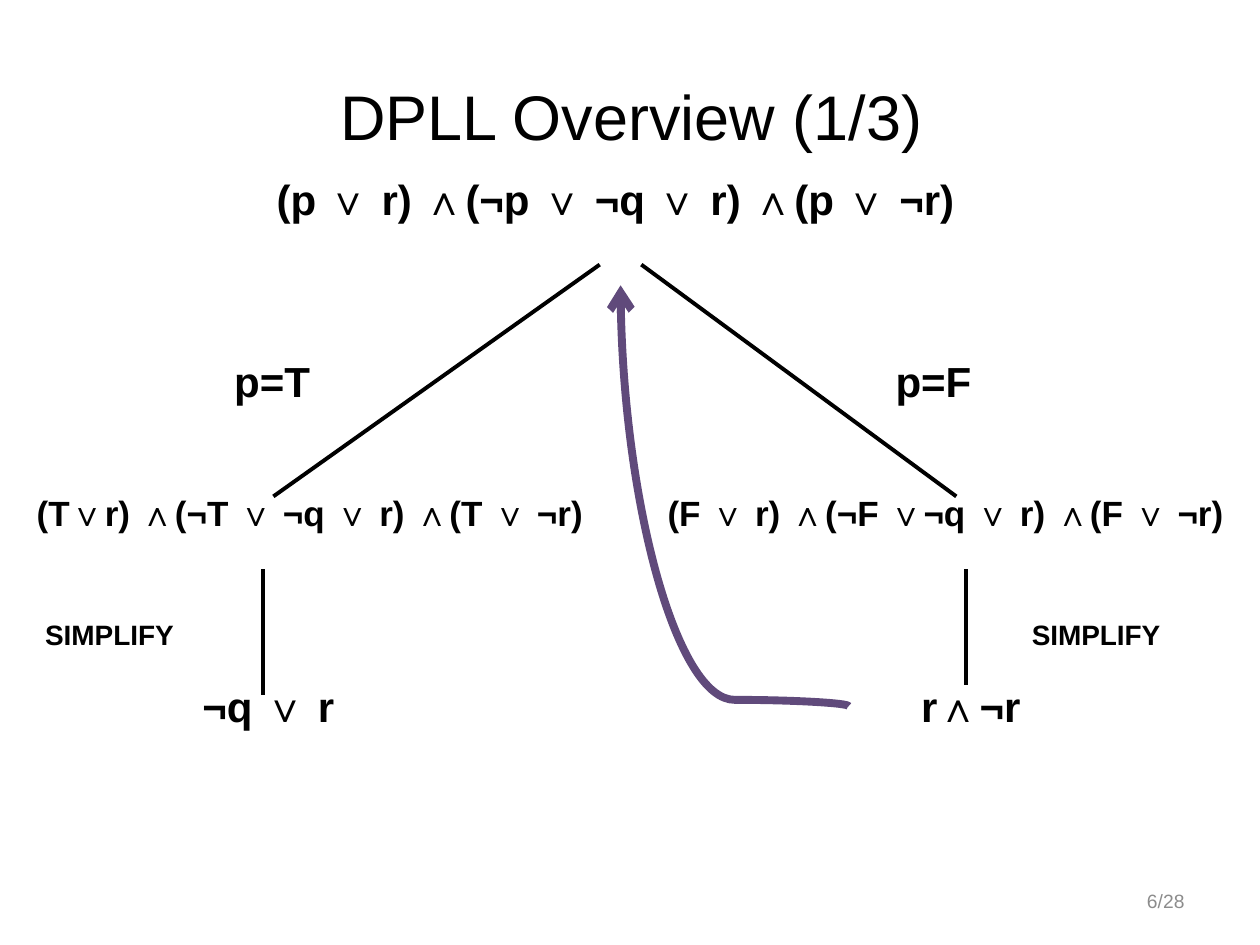
from dataclasses import dataclass

import lxml.etree
import pptx
import pptx.dml.color
import pptx.enum.shapes
import pptx.enum.text
import pptx.oxml.ns
import pptx.util

Inches = pptx.util.Inches
Align = pptx.enum.text.PP_ALIGN
Anchor = pptx.enum.text.MSO_ANCHOR
Connector = pptx.enum.shapes.MSO_CONNECTOR
qn = pptx.oxml.ns.qn

COLORS = {"ink": "000000", "muted": "8C8C8C", "backtrack": "604A7B", "paper": "FFFFFF"}


@dataclass
class Label:
    text: str
    left: float
    top: float
    width: float
    height: float
    size: float
    align: Align = Align.CENTER
    bold: bool = True
    color: str = "ink"
    anchor: Anchor = Anchor.TOP


@dataclass
class Edge:
    start: tuple[float, float]
    end: tuple[float, float]
    kind: Connector = Connector.STRAIGHT
    width: float = 2.25
    color: str = "ink"


def rgb(name: str) -> pptx.dml.color.RGBColor:
    return pptx.dml.color.RGBColor.from_string(COLORS[name])


def draw_label(page, label: Label) -> None:
    box = page.shapes.add_textbox(
        *map(Inches, (label.left, label.top, label.width, label.height)))
    frame = box.text_frame
    frame.word_wrap = True
    frame.vertical_anchor = label.anchor
    para = frame.paragraphs[0]
    para.alignment = label.align
    span = para.add_run()
    span.text = label.text
    style = {"name": "Arial", "size": pptx.util.Pt(label.size), "bold": label.bold}
    for attribute, value in style.items():
        setattr(span.font, attribute, value)
    span.font.color.rgb = rgb(label.color)


def draw_edge(page, edge: Edge):
    line = page.shapes.add_connector(edge.kind, *map(Inches, edge.start + edge.end))
    line.line.color.rgb = rgb(edge.color)
    line.line.width = pptx.util.Pt(edge.width)
    lxml.etree.SubElement(line._element.spPr, qn("a:effectLst"))
    return line


def draw_backtrack(page, edge: Edge, bend: int) -> None:
    """Draw a curve turned a quarter left, with an arrowhead at its end."""
    curve = draw_edge(page, edge)
    properties = curve._element.spPr
    properties.find(qn("a:xfrm")).set("rot", str(270 * 60000))
    geometry = properties.find(qn("a:prstGeom"))
    guides = geometry.find(qn("a:avLst"))
    if guides is None:
        guides = lxml.etree.SubElement(geometry, qn("a:avLst"))
    lxml.etree.SubElement(guides, qn("a:gd"), name="adj1", fmla=f"val {bend}")
    lxml.etree.SubElement(properties.find(qn("a:ln")), qn("a:tailEnd"), type="arrow")


LABELS = [
    # Title and page number
    Label("DPLL Overview (1/3)", 0.51, 0.29, 9, 1.25, 36, bold=False, anchor=Anchor.MIDDLE),
    Label("6/28", 7.17, 6.95, 2.33, 0.4, 11, Align.RIGHT, False, "muted", Anchor.MIDDLE),
    # Formulas of the search tree
    Label("(p ∨ r) ∧(¬p ∨ ¬q ∨ r) ∧(p ∨ ¬r)", 1.88, 1.33, 6.01, 0.5, 24),
    Label("(T∨r) ∧(¬T ∨ ¬q ∨ r) ∧(T ∨ ¬r)", 0.08, 3.85, 4.76, 0.44, 20),
    Label("(F ∨ r) ∧(¬F ∨¬q ∨ r) ∧(F ∨ ¬r)", 5.09, 3.85, 4.83, 0.44, 20),
    Label("¬q ∨ r", 1.17, 5.35, 1.92, 0.5, 24),
    Label("r∧¬r", 6.58, 5.35, 2.25, 0.5, 24),
    # Branch and step names
    Label("p=T", 1.76, 2.77, 1.08, 0.5, 24, Align.LEFT),
    Label("p=F", 7.01, 2.77, 1, 0.5, 24, Align.LEFT),
    Label("SIMPLIFY", 0.26, 4.85, 1.5, 0.37, 16, Align.LEFT),
    Label("SIMPLIFY", 8.09, 4.85, 1.42, 0.37, 16, Align.LEFT),
]

BRANCHES = [
    Edge((4.76, 2.1), (2.17, 3.94)),
    Edge((5.09, 2.1), (7.59, 3.94)),
    Edge((2.09, 4.52), (2.09, 5.52)),
    Edge((7.67, 4.52), (7.67, 5.44)),
]

# Ends are given before the quarter turn
BACKTRACK = Edge((4.16, 4.84), (7.5, 3.03), Connector.CURVE, 4.5, "backtrack")


def main() -> None:
    deck = pptx.Presentation()
    deck.slide_width, deck.slide_height = Inches(10), Inches(7.5)
    page = deck.slides.add_slide(deck.slide_layouts[6])
    page.background.fill.solid()
    page.background.fill.fore_color.rgb = rgb("paper")

    for label in LABELS:
        draw_label(page, label)
    for branch in BRANCHES:
        draw_edge(page, branch)
    draw_backtrack(page, BACKTRACK, bend=1500)

    deck.save("out.pptx")


if __name__ == "__main__":
    main()
